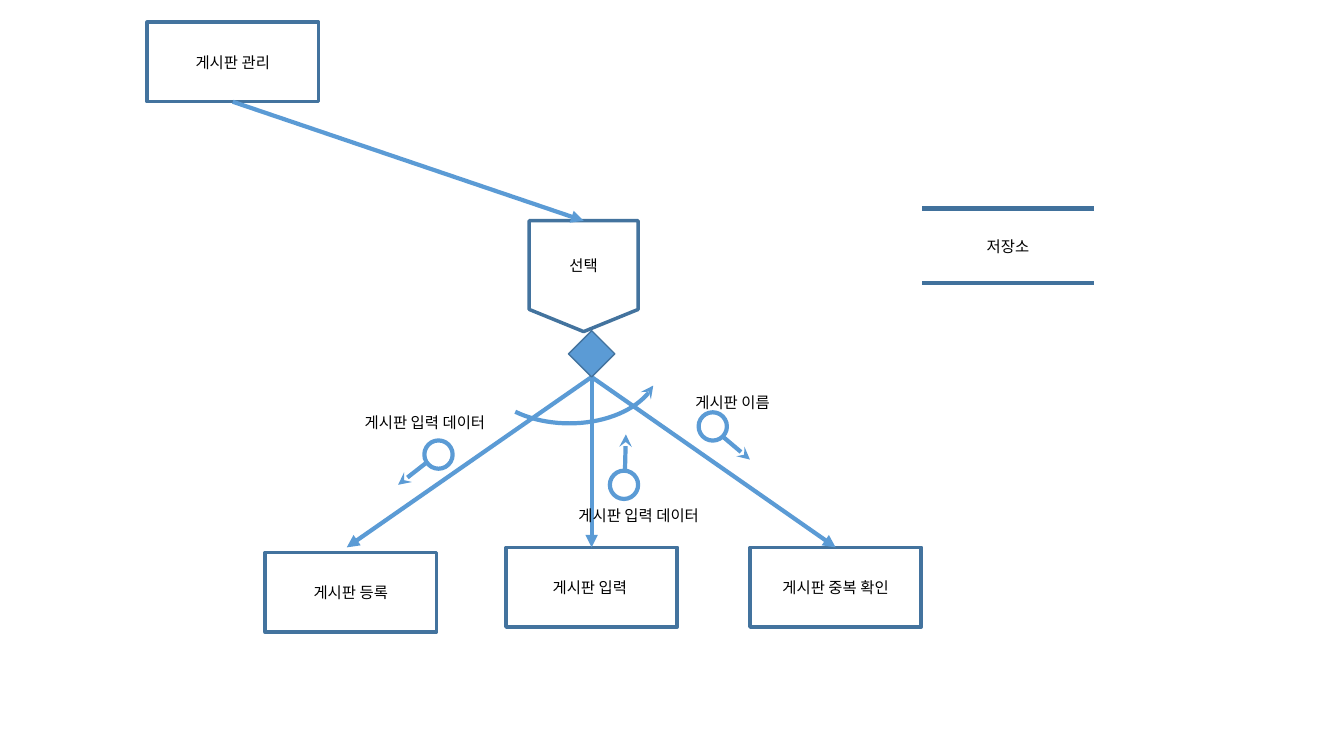
from pptx import Presentation
from pptx.dml.color import RGBColor
from pptx.enum.shapes import MSO_CONNECTOR, MSO_SHAPE
from pptx.enum.text import MSO_ANCHOR, MSO_AUTO_SIZE, PP_ALIGN
from pptx.oxml.ns import qn
from pptx.util import Pt
from lxml import etree

STRAIGHT = MSO_CONNECTOR.STRAIGHT
RECTANGLE, DIAMOND = MSO_SHAPE.RECTANGLE, MSO_SHAPE.DIAMOND
ARC, OVAL = MSO_SHAPE.ARC, MSO_SHAPE.OVAL
OFFPAGE = MSO_SHAPE.FLOWCHART_OFFPAGE_CONNECTOR
MIDDLE, TOP = MSO_ANCHOR.MIDDLE, MSO_ANCHOR.TOP
CENTER, LEFT = PP_ALIGN.CENTER, PP_ALIGN.LEFT
GROW = MSO_AUTO_SIZE.SHAPE_TO_FIT_TEXT

BORDER, BLUE, STORE, BLACK, WHITE = "43739E", "5B9BD5", "41719C", "000000", "FFFFFF"
BOX_WIDTH, BOX_HEIGHT, CIRCLE = 122.4, 56.9, 20.2


def color(value):
    """Turn a hex string into a colour."""
    return RGBColor.from_string(value)


class StructureChart:
    """Hold the text style and the slide being drawn."""

    text_format = {"name": "Noto Sans CJK KR", "size": Pt(11)}

    def __init__(self, slide):
        """Start drawing on the given slide."""
        self.shapes = slide.shapes

    def outline(self, shape, line_color, width, **ends):
        """Set the line and any arrowheads of a shape."""
        shape.line.color.rgb = color(line_color)
        shape.line.width = Pt(width)
        line = shape._element.spPr.find(qn("a:ln"))
        for end, kind in ends.items():
            etree.SubElement(line, qn(f"a:{end}"), type=kind)

    def set_text(self, shape, text, alignment=CENTER, **frame_format):
        """Put one styled paragraph into a shape."""
        frame = shape.text_frame
        for name, value in frame_format.items():
            setattr(frame, name, value)
        paragraph = frame.paragraphs[0]
        paragraph.alignment = alignment
        run = paragraph.add_run()
        run.text = text
        for name, value in self.text_format.items():
            setattr(run.font, name, value)
        run.font.color.rgb = color(BLACK)
        properties = run._r.get_or_add_rPr()
        etree.SubElement(properties, qn("a:ea"), typeface=self.text_format["name"])

    def shape(self, kind, left, top, width, height, text="", fill=None,
              line=None, parent=None, **ends):
        """Add a preset shape; line is a colour and a width."""
        shape = (parent or self).shapes.add_shape(
            kind, Pt(left), Pt(top), Pt(width), Pt(height))
        shape.shadow.inherit = False
        if fill:
            shape.fill.solid()
            shape.fill.fore_color.rgb = color(fill)
        else:
            shape.fill.background()
        if line:
            self.outline(shape, *line, **ends)
        else:
            shape.line.fill.background()
        if text:
            self.set_text(shape, text, vertical_anchor=MIDDLE, word_wrap=True)
        return shape

    def module(self, left, top, text, kind=RECTANGLE, width=BOX_WIDTH, height=BOX_HEIGHT):
        """Add an outlined module box."""
        self.shape(kind, left, top, width, height, text, line=(BORDER, 2.5))

    def connector(self, start, end, line_color=BLUE, parent=None, **ends):
        """Add a straight line between two points."""
        connector = (parent or self).shapes.add_connector(
            STRAIGHT, *map(Pt, start + end))
        self.outline(connector, line_color, 3, **ends)
        etree.SubElement(connector._element.spPr, qn("a:effectLst"))

    def label(self, left, top, width, text):
        """Add a text box that does not wrap."""
        box = self.shapes.add_textbox(Pt(left), Pt(top), Pt(width), Pt(20.9))
        self.set_text(box, text, LEFT, vertical_anchor=TOP, word_wrap=False, auto_size=GROW)

    def data_couple(self, circle, tip, base, label):
        """Add a grouped circle and arrow with the name of the data passed."""
        group = self.shapes.add_group_shape()
        self.shape(OVAL, *circle, CIRCLE, CIRCLE, line=(BLUE, 3), parent=group)
        self.connector(tip, base, parent=group, headEnd="stealth")
        self.label(*label)

    def store(self, left, top, width, height, text):
        """Add a grouped data store: text between two rules."""
        group = self.shapes.add_group_shape()
        for y in (top, top + height):
            self.connector((left, y), (left + width, y), STORE, group)
        self.shape(RECTANGLE, left + 7, top + 7, width - 14, height - 14, text,
                   fill=WHITE, parent=group)


presentation = Presentation()
presentation.slide_width, presentation.slide_height = Pt(960), Pt(540)
slide = presentation.slides.add_slide(presentation.slide_layouts[6])
chart = StructureChart(slide)

chart.module(378, 157.7, "선택", OFFPAGE, 77.8, 79.2)
for left, top, text in [
    (189.4, 394.6, "게시판 등록"),
    (361.4, 391, "게시판 입력 "),
    (535.7, 391, "게시판 중복 확인"),
    (105.1, 15.8, "게시판 관리"),
]:
    chart.module(left, top, text)

branch = (422.6, 269.3)
for start, end in [
    (branch, (247.7, 391)),
    (branch, (422.6, 391)),
    (branch, (596.9, 391)),
    ((166.3, 72.7), (416.9, 157.7)),
]:
    chart.connector(start, end, tailEnd="triangle")

loop = chart.shape(ARC, 343.4, 222.5, 126.7, 79.9, line=(BLUE, 3), headEnd="stealth")
loop.adjustments[0], loop.adjustments[1] = 7.33, 84.4

for couple in [
    ((499, 294.5), (535.7, 328.3), (516.2, 311.8), (489.6, 277.2, 74.2, "게시판 이름")),
    ((303.1, 314.6), (284.4, 346.3), (304.6, 330.5),
     (253.4, 291.6, 110.9, "게시판 입력 데이터")),
    ((435.6, 336.2), (447.1, 310.3), (446.4, 336.2),
     (406.1, 357.8, 110.9, "게시판 입력 데이터")),
]:
    chart.data_couple(*couple)

chart.shape(DIAMOND, 406.1, 236.2, 33.1, 33.1, fill=BLUE, line=(BORDER, 1))
chart.store(658.8, 149, 122.4, 53.3, "저장소")

presentation.save("out.pptx")
